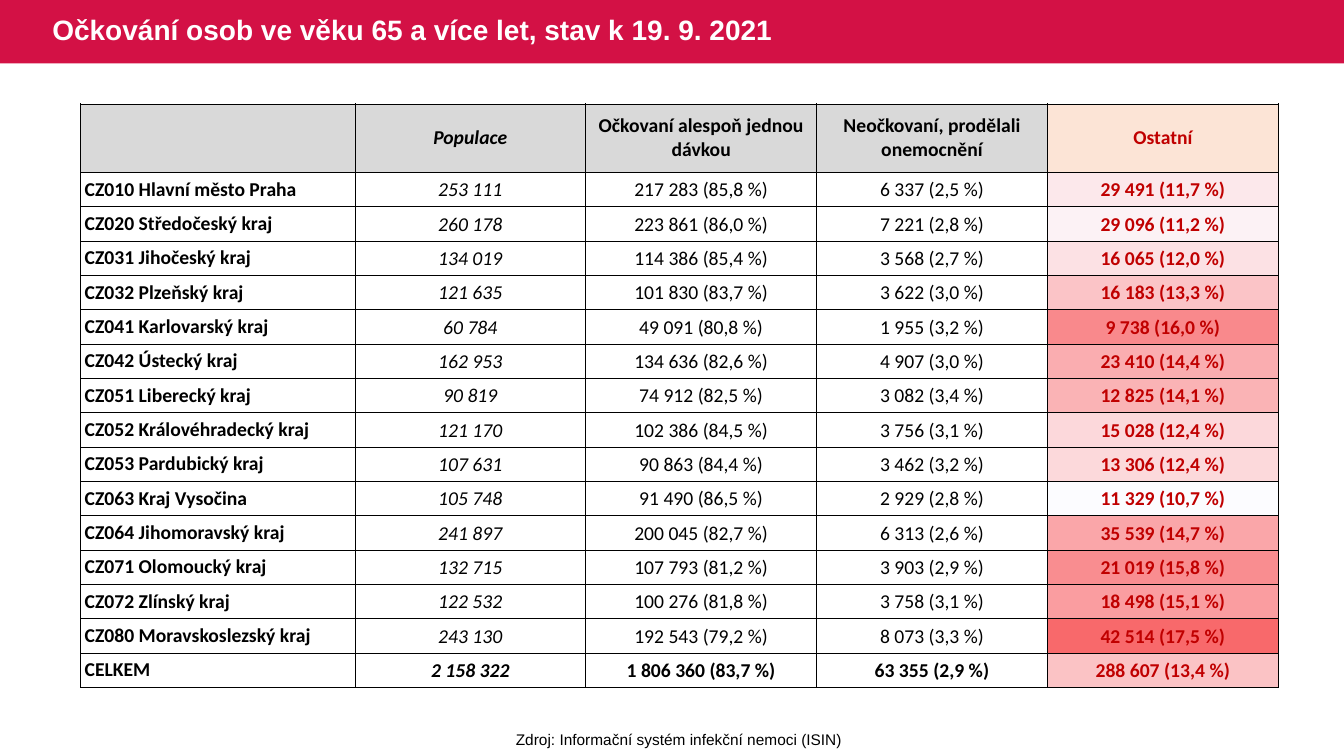
import pptx
import pptx.util
import pptx.dml.color
import pptx.enum.shapes
import pptx.enum.text
import pptx.oxml
import pptx.oxml.ns

Inch = pptx.util.Inches
ALIGN = pptx.enum.text.PP_ALIGN
MIDDLE = pptx.enum.text.MSO_ANCHOR.MIDDLE
WIDE, HIGH = 13.33, 7.5
BAR = 0.63
HEAD, BODY = 0.68, 5.11
FIRST, REST = 2.72, 2.29
NO_STYLE = "{2D5ABB26-0587-4C30-8999-92F81FD0307C}"

TITLE = "Očkování osob ve věku 65 a více let, stav k 19. 9. 2021"
SOURCE = "Zdroj: Informační systém infekční nemoci (ISIN)"
HEADS = ["", "Populace", "Očkovaní alespoň jednou dávkou",
         "Neočkovaní, prodělali onemocnění", "Ostatní"]
# Region, population, vaccinated, recovered, others, heat colour
REGIONS = [
    ("CZ010 Hlavní město Praha", "253 111", "217 283 (85,8 %)", "6 337 (2,5 %)", "29 491 (11,7 %)", "FCE8EB"),
    ("CZ020 Středočeský kraj", "260 178", "223 861 (86,0 %)", "7 221 (2,8 %)", "29 096 (11,2 %)", "FCF2F5"),
    ("CZ031 Jihočeský kraj", "134 019", "114 386 (85,4 %)", "3 568 (2,7 %)", "16 065 (12,0 %)", "FCE1E4"),
    ("CZ032 Plzeňský kraj", "121 635", "101 830 (83,7 %)", "3 622 (3,0 %)", "16 183 (13,3 %)", "FBC4C7"),
    ("CZ041 Karlovarský kraj", "60 784", "49 091 (80,8 %)", "1 955 (3,2 %)", "9 738 (16,0 %)", "F9898C"),
    ("CZ042 Ústecký kraj", "162 953", "134 636 (82,6 %)", "4 907 (3,0 %)", "23 410 (14,4 %)", "FAADB0"),
    ("CZ051 Liberecký kraj", "90 819", "74 912 (82,5 %)", "3 082 (3,4 %)", "12 825 (14,1 %)", "FAB3B5"),
    ("CZ052 Královéhradecký kraj", "121 170", "102 386 (84,5 %)", "3 756 (3,1 %)", "15 028 (12,4 %)", "FCD8DB"),
    ("CZ053 Pardubický kraj", "107 631", "90 863 (84,4 %)", "3 462 (3,2 %)", "13 306 (12,4 %)", "FCD9DB"),
    ("CZ063 Kraj Vysočina", "105 748", "91 490 (86,5 %)", "2 929 (2,8 %)", "11 329 (10,7 %)", "FCFCFF"),
    ("CZ064 Jihomoravský kraj", "241 897", "200 045 (82,7 %)", "6 313 (2,6 %)", "35 539 (14,7 %)", "FAA6A9"),
    ("CZ071 Olomoucký kraj", "132 715", "107 793 (81,2 %)", "3 903 (2,9 %)", "21 019 (15,8 %)", "F98D90"),
    ("CZ072 Zlínský kraj", "122 532", "100 276 (81,8 %)", "3 758 (3,1 %)", "18 498 (15,1 %)", "FA9DA0"),
    ("CZ080 Moravskoslezský kraj", "243 130", "192 543 (79,2 %)", "8 073 (3,3 %)", "42 514 (17,5 %)", "F8696B"),
    ("CELKEM", "2 158 322", "1 806 360 (83,7 %)", "63 355 (2,9 %)", "288 607 (13,4 %)", "FBC3C5"),
]


def paint(part, color):
    """Give a fill or a font a hex colour."""
    if hasattr(part, "solid"):
        part.solid()
        part = part.fore_color
    else:
        part = part.color
    part.rgb = pptx.dml.color.RGBColor.from_string(color)


def write(frame, text, size, face, color, bold=False, italic=False, align=None):
    frame.text = text
    line = frame.paragraphs[0]
    line.alignment = align
    for run in line.runs:
        font = run.font
        font.size, font.name = pptx.util.Pt(size), face
        font.bold, font.italic = bold, italic
        paint(font, color)
    return line


def outline(cell):
    props = cell._tc.get_or_add_tcPr()
    space = pptx.oxml.ns.nsdecls("a")
    for side in "LRTB":
        props.append(pptx.oxml.parse_xml(
            f'<a:ln{side} {space} w="6350"><a:solidFill>'
            f'<a:srgbClr val="000000"/></a:solidFill></a:ln{side}>'))


def grid(slide, left, top, cols, rows):
    """Add a plain table with the given column widths and row heights."""
    table = slide.shapes.add_table(
        len(rows), len(cols), Inch(left), Inch(top),
        Inch(sum(cols)), Inch(sum(rows))).table
    table._tbl.tblPr.find(pptx.oxml.ns.qn("a:tableStyleId")).text = NO_STYLE
    table.first_row = table.horz_banding = False
    for col, width in zip(table.columns, cols):
        col.width = Inch(width)
    for row, height in zip(table.rows, rows):
        row.height = Inch(height)
    return table


def inset(cell, side, top=0):
    cell.margin_left = cell.margin_right = Inch(side)
    cell.margin_top, cell.margin_bottom = Inch(top), 0
    cell.vertical_anchor = MIDDLE


def banner(slide, left, top, width, height):
    bar = slide.shapes.add_shape(
        pptx.enum.shapes.MSO_SHAPE.RECTANGLE,
        Inch(left), Inch(top), Inch(width), Inch(height))
    bar.shadow.inherit = False
    bar.line.fill.background()
    paint(bar.fill, "D31145")
    box = slide.shapes.add_textbox(
        Inch(left + 0.42), Inch(top), Inch(8.28), Inch(height))
    frame = box.text_frame
    frame.word_wrap = True
    frame.vertical_anchor = MIDDLE
    write(frame, TITLE, 20, "Arial", "FFFFFF", bold=True).line_spacing = 0.9


def heat(slide, left, top, width, height):
    """Colour the last column behind the figures."""
    count = len(REGIONS)
    table = grid(slide, left, top, [width], [height / count] * count)
    for cell, region in zip(table.iter_cells(), REGIONS):
        inset(cell, 0)
        paint(cell.fill, region[-1])


def figures(slide, left, top):
    count = len(REGIONS)
    table = grid(slide, left, top, [FIRST] + [REST] * 4,
                 [HEAD] + [BODY / count] * count)
    lines = [HEADS] + [region[:-1] for region in REGIONS]
    for r, line in enumerate(lines):
        for c, text in enumerate(line):
            cell = table.cell(r, c)
            edge = r == 0 or c == 0
            inset(cell, 0.04 if edge else 0.01, 0 if edge else 0.01)
            outline(cell)
            if r == 0:
                paint(cell.fill, "FCE4D6" if c == 4 else "D9D9D9")
            else:
                cell.fill.background()
            write(cell.text_frame, text, 14, "Calibri",
                  "C00000" if c == 4 else "000000",
                  bold=edge or c == 4 or r == count, italic=c == 1,
                  align=ALIGN.CENTER if c else ALIGN.LEFT)


def footer(slide, left, top, width, height):
    box = slide.shapes.add_textbox(
        Inch(left), Inch(top), Inch(width), Inch(height))
    box.text_frame.word_wrap = False
    write(box.text_frame, SOURCE, 11, "Arial", "000000", align=ALIGN.CENTER)


def main():
    deck = pptx.Presentation()
    deck.slide_width, deck.slide_height = Inch(WIDE), Inch(HIGH)
    slide = deck.slides.add_slide(deck.slide_layouts[6])
    left, top = 0.8, 1.03
    banner(slide, 0, 0, WIDE, BAR)
    heat(slide, left + FIRST + 3 * REST, top + HEAD, REST, BODY)
    figures(slide, left, top)
    footer(slide, 5.01, 7.19, 3.45, 0.29)
    deck.save("out.pptx")


if __name__ == "__main__":
    main()
